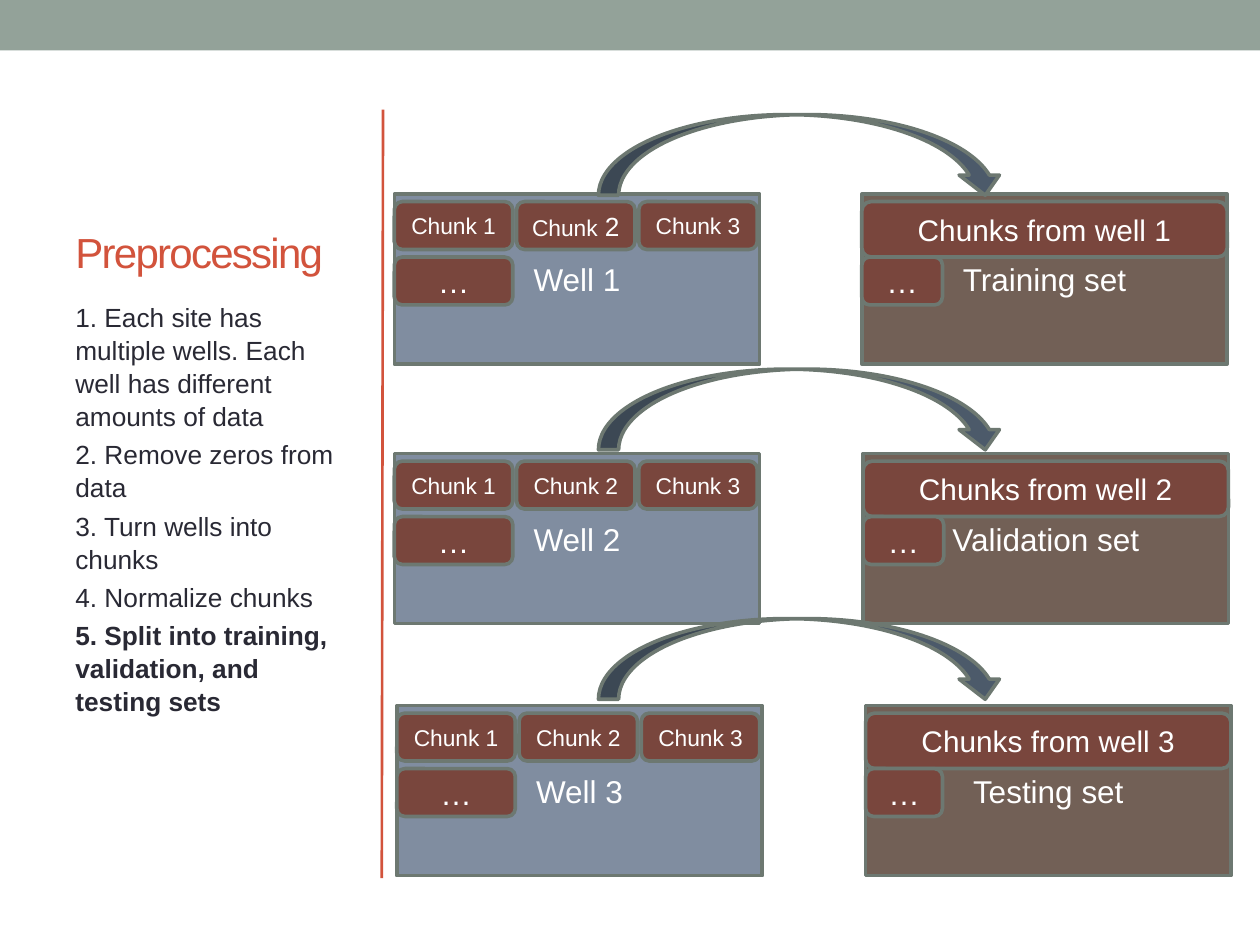
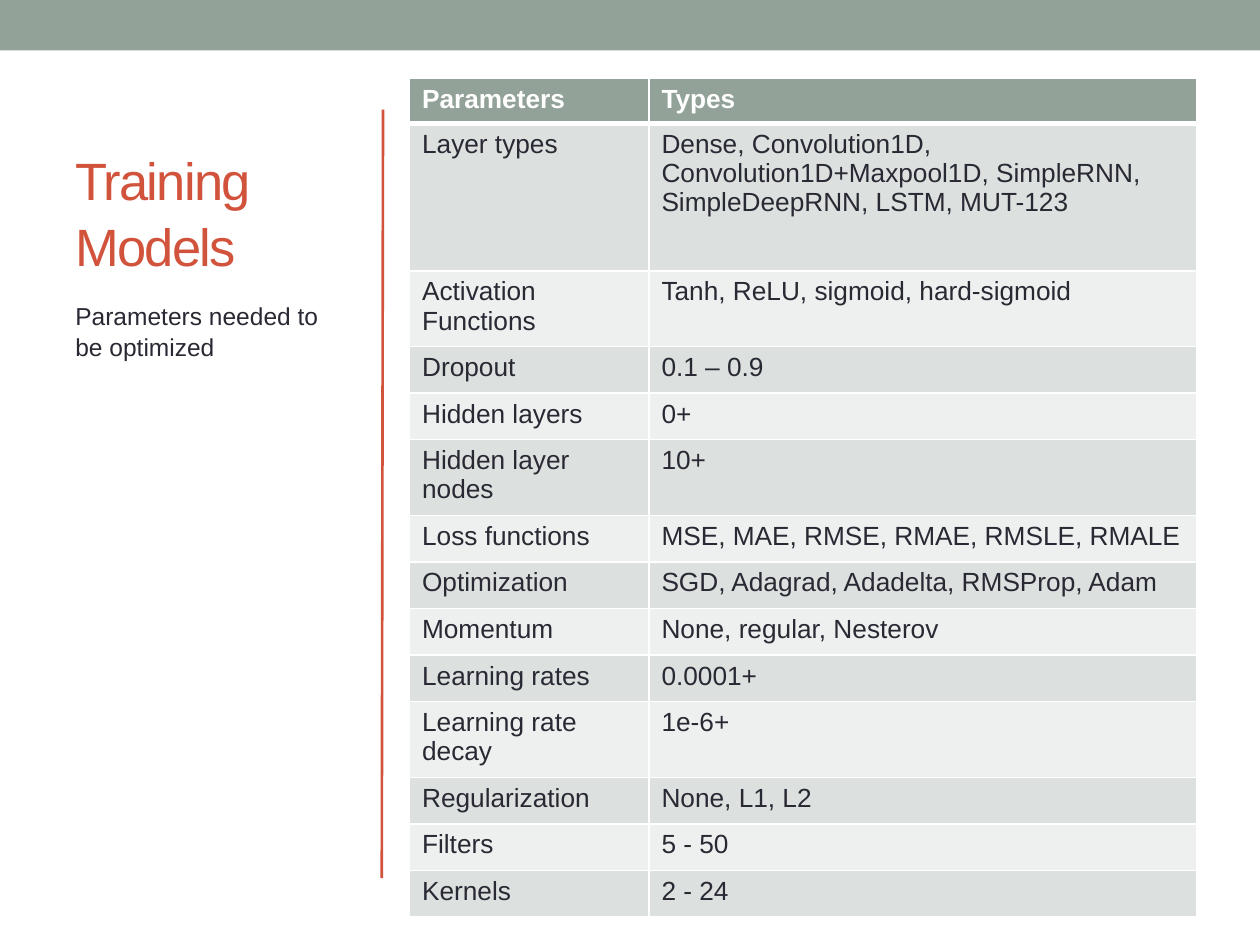
from dataclasses import dataclass

from lxml import etree
from pptx import Presentation
from pptx import util as u
from pptx.dml.color import RGBColor
from pptx.enum import shapes, text
from pptx.oxml import ns


@dataclass(frozen=True)
class Theme:
    font: str = "Arial"
    sage: str = "93A299"
    accent: str = "D2533C"
    ink: str = "292934"
    white: str = "FFFFFF"
    well: str = "808DA0"
    dataset: str = "726056"
    chunk: str = "79463D"
    arrow: str = "4C5A6A"
    outline: str = "6D7871"
    row_dark: str = "DCE0DE"
    row_light: str = "EEF0EF"
    box_size: float = 18
    source_size: float = 17
    chunk_size: float = 13
    table_size: float = 15
    outline_width: float = 2.08


THEME = Theme()
SHAPE = shapes.MSO_SHAPE

STEPS = [
    "1. Each site has multiple wells. Each well has different amounts of data",
    "2. Remove zeros from data",
    "3. Turn wells into chunks",
    "4. Normalize chunks",
    "5. Split into training, validation, and testing sets",
]

SPLITS = [
    ("Training set", 3.13, 6.84, 1.54, 0.91, 0.64),
    ("Validation set", 3.13, 6.85, 3.6, 2.93, 0.64),
    ("Testing set", 3.15, 6.87, 5.6, 4.91, 0.61),
]

PARAMETERS = [
    ("Parameters", "Types", 0.36),
    ("Layer types", "Dense, Convolution1D, Convolution1D+Maxpool1D, SimpleRNN, "
                    "SimpleDeepRNN, LSTM, MUT-123", 1.17),
    ("Activation Functions", "Tanh, ReLU, sigmoid, hard-sigmoid", 0.6),
    ("Dropout", "0.1 – 0.9", 0.37),
    ("Hidden layers", "0+", 0.37),
    ("Hidden layer nodes", "10+", 0.6),
    ("Loss functions", "MSE, MAE, RMSE, RMAE, RMSLE, RMALE", 0.37),
    ("Optimization", "SGD, Adagrad, Adadelta, RMSProp, Adam", 0.37),
    ("Momentum", "None, regular, Nesterov", 0.37),
    ("Learning rates", "0.0001+", 0.37),
    ("Learning rate decay", "1e-6+", 0.6),
    ("Regularization", "None, L1, L2", 0.37),
    ("Filters", "5 - 50", 0.37),
    ("Kernels", "2 - 24", 0.37),
]


def color(value):
    return RGBColor.from_string(value)


def inches(*lengths):
    return [u.Inches(length) for length in lengths]


def format_run(run, size, ink, bold=False):
    run.font.name = THEME.font
    run.font.size = u.Pt(size)
    run.font.color.rgb = color(ink)
    run.font.bold = bold


def write(paragraph, words, size, ink, bold=False):
    paragraph.text = words
    format_run(paragraph.runs[0], size, ink, bold)


def add_box(slide, kind, place, fill, words="", size=THEME.box_size, outlined=True):
    shape = slide.shapes.add_shape(kind, *inches(*place))
    shape.shadow.inherit = False
    shape.fill.solid()
    shape.fill.fore_color.rgb = color(fill)
    if outlined:
        shape.line.color.rgb = color(THEME.outline)
        shape.line.width = u.Pt(THEME.outline_width)
    else:
        shape.line.fill.background()
    if words:
        frame = shape.text_frame
        frame.word_wrap = True
        frame.vertical_anchor = text.MSO_ANCHOR.MIDDLE
        paragraph = frame.paragraphs[0]
        write(paragraph, words, size, THEME.white)
        paragraph.alignment = text.PP_ALIGN.CENTER
    return shape


def add_text_frame(slide, place, anchor):
    frame = slide.shapes.add_textbox(*inches(*place)).text_frame
    frame.word_wrap = True
    frame.vertical_anchor = anchor
    return frame


def add_title(slide, words, size):
    frame = add_text_frame(slide, (0.5, 0.87, 2.34, 1.38), text.MSO_ANCHOR.BOTTOM)
    paragraph = frame.paragraphs[0]
    write(paragraph, words, size, THEME.accent)
    paragraph.line_spacing = 1.05
    paragraph.runs[0].font._element.set("spc", "-100")


def add_body(slide, lines, size, bold_line=""):
    frame = add_text_frame(slide, (0.5, 2.33, 2.34, 4.64), text.MSO_ANCHOR.TOP)
    frame.text = "\n".join(lines)
    for paragraph in frame.paragraphs:
        paragraph.space_before = u.Pt(size * 0.2)
        paragraph.line_spacing = 1.05
        format_run(paragraph.runs[0], size, THEME.ink, paragraph.text == bold_line)


def add_base_slide(presentation, title, title_size):
    slide = presentation.slides.add_slide(presentation.slide_layouts[6])
    add_box(slide, SHAPE.RECTANGLE, (0, 0, 10, 0.4), THEME.sage, outlined=False)
    divider = slide.shapes.add_connector(
        shapes.MSO_CONNECTOR.STRAIGHT, *inches(3.04, 0.87, 3.03, 6.97))
    divider.line.color.rgb = color(THEME.accent)
    divider.line.width = u.Pt(1.5)
    etree.SubElement(divider._element.spPr, ns.qn("a:effectLst"))
    add_title(slide, title, title_size)
    return slide


def add_chunk(slide, left, top, width, words, size=THEME.box_size, height=0.38):
    return add_box(slide, SHAPE.ROUNDED_RECTANGLE, (left, top, width, height),
                   THEME.chunk, words, size)


def add_well(slide, number, left, top):
    add_box(slide, SHAPE.RECTANGLE, (left, top, 2.9, 1.35), THEME.well, f"Well {number}")
    for index in range(3):
        chunk = add_chunk(slide, left + 0.97 * index, top + 0.06, 0.94,
                          f"Chunk {index + 1}", THEME.chunk_size)
        if (number, index) == (1, 1):
            paragraph = chunk.text_frame.paragraphs[0]
            paragraph.runs[0].text = "Chunk"
            run = paragraph.add_run()
            run.text = " 2"
            format_run(run, 15, THEME.white)
    add_chunk(slide, left, top + 0.5, 0.94, "…")


def add_dataset(slide, name, number, left, top, more_width):
    add_box(slide, SHAPE.RECTANGLE, (left, top, 2.9, 1.35), THEME.dataset, name)
    add_chunk(slide, left, top + 0.06, 2.9, f"Chunks from well {number}",
              THEME.source_size, 0.44)
    add_chunk(slide, left, top + 0.5, more_width, "…")


def add_border(cell, side, width):
    line = etree.SubElement(cell._tc.get_or_add_tcPr(), ns.qn(f"a:{side}"),
                            w=str(u.Pt(width)))
    fill = etree.SubElement(line, ns.qn("a:solidFill"))
    etree.SubElement(fill, ns.qn("a:srgbClr"), val=THEME.white)


def fill_cell(cell, words, row):
    header = row == 0
    write(cell.text_frame.paragraphs[0], words, THEME.table_size,
          THEME.white if header else THEME.ink, header)
    for side in ("lnL", "lnR", "lnT", "lnB"):
        thick = (header and side == "lnB") or (row == 1 and side == "lnT")
        add_border(cell, side, 3 if thick else 1)
    band = THEME.row_dark if row % 2 else THEME.row_light
    cell.fill.solid()
    cell.fill.fore_color.rgb = color(THEME.sage if header else band)


def add_parameter_table(slide):
    height = sum(row[2] for row in PARAMETERS)
    table = slide.shapes.add_table(
        len(PARAMETERS), 2, *inches(3.25, 0.62, 6.25, height)).table
    for column, width in zip(table.columns, (1.9, 4.35)):
        column.width = u.Inches(width)
    for row, (parameter, types, row_height) in enumerate(PARAMETERS):
        table.rows[row].height = u.Inches(row_height)
        for column, words in enumerate((parameter, types)):
            fill_cell(table.cell(row, column), words, row)


def build_preprocessing(presentation):
    slide = add_base_slide(presentation, "Preprocessing", 24)
    add_body(slide, STEPS, 15, bold_line=STEPS[-1])
    for number, split in enumerate(SPLITS, 1):
        name, well_left, set_left, top, _, more_width = split
        add_well(slide, number, well_left, top)
        add_dataset(slide, name, number, set_left, top, more_width)
    for split in SPLITS:
        add_box(slide, SHAPE.CURVED_DOWN_ARROW, (4.75, split[4], 3.23, 0.64), THEME.arrow)


def build_training_models(presentation):
    slide = add_base_slide(presentation, "Training Models", 30)
    add_parameter_table(slide)
    add_body(slide, ["Parameters needed to be optimized"], 14)


def main():
    presentation = Presentation()
    presentation.slide_width, presentation.slide_height = inches(10, 7.5)
    build_preprocessing(presentation)
    build_training_models(presentation)
    presentation.save("out.pptx")


if __name__ == "__main__":
    main()
